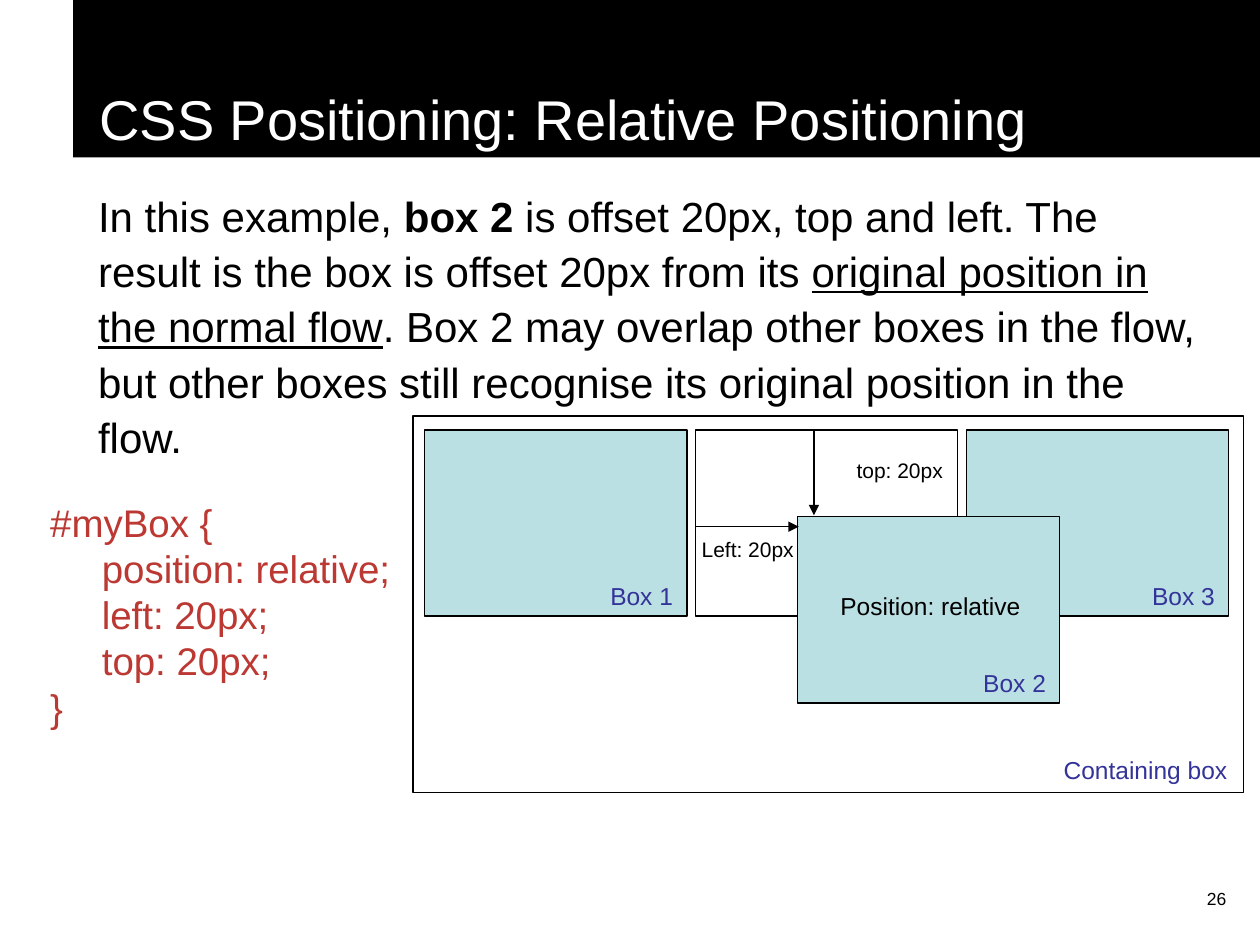
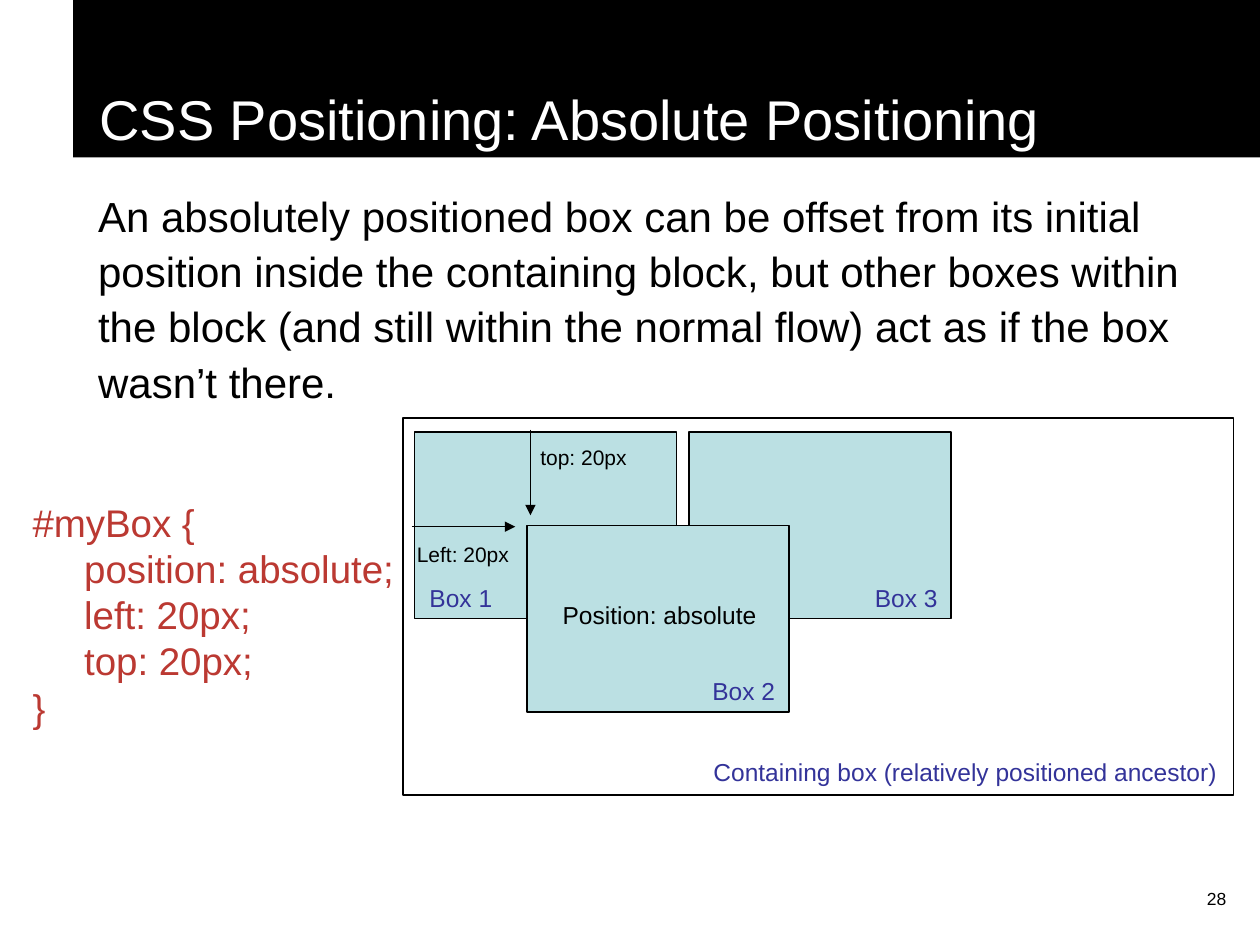
from dataclasses import dataclass

from lxml import etree
from pptx import Presentation
from pptx.dml.color import RGBColor
from pptx.enum.shapes import MSO_CONNECTOR, MSO_SHAPE
from pptx.enum.text import MSO_ANCHOR, PP_ALIGN
from pptx.oxml.ns import qn
from pptx.util import Inches, Pt

RECT = MSO_SHAPE.RECTANGLE
LINE = MSO_CONNECTOR.STRAIGHT
TOP, LOW = MSO_ANCHOR.TOP, MSO_ANCHOR.BOTTOM
LEFT, MID, RIGHT = PP_ALIGN.LEFT, PP_ALIGN.CENTER, PP_ALIGN.RIGHT

WIDE, HIGH = 10, 7.5
BAND = (0.58, 0, WIDE - 0.58, HIGH / 6)
PAGE = (7.75, 7, 2.08, 0.5)
FRAME = (6.59, 2.99)
BOX = (2.08, 1.48)
TAG = (2.05, 0.34)
NOTE = (1.11, 0.3)
CODE = (3.12, 1.94)


@dataclass(frozen=True)
class Theme:
    font: str = "Arial"
    ink: str = "000000"
    pale: str = "FFFFFF"
    box: str = "BBE0E3"
    tag: str = "333399"
    code: str = "BB3932"
    head: int = 32
    body: int = 24
    mono: int = 22
    name: int = 14
    note: int = 12
    page: int = 10
    edge: float = 1
    arrow: float = 0.75
    space: float = 0.625


LOOK = Theme()

SLIDES = [
    {
        "page": "26",
        "title": "CSS Positioning: Relative Positioning",
        "body": [
            ("In this example, ", ""),
            ("box 2", "bold"),
            (" is offset 20px, top and left. The result is the box is offset 20px from its ", ""),
            ("original position in the normal flow", "under"),
            (". Box 2 may overlap other boxes in the flow, but other boxes still "
             "recognise its original position in the flow.", ""),
        ],
        "depth": 3.1,
        "mode": "relative",
        "code": 0.3,
        "frame": (3.28, 3.3),
        "step": 2.15,
        "flow": [("Box 1", RIGHT), None, ("Box 3", RIGHT)],
        "slot": 1,
        "shift": (0.81, 0.69),
        "arrow": 5.52,
        "notes": [("Left: 20px", 5.47, 4.21), ("top: 20px", 6.7, 3.58)],
        "holder": ("Containing box", 2.05),
    },
    {
        "page": "28",
        "title": "CSS Positioning: Absolute Positioning",
        "body": [
            ("An absolutely positioned box can be offset from its initial position "
             "inside the containing block, but other boxes within the block (and still "
             "within the normal flow) act as if the box wasn’t there.", ""),
        ],
        "depth": 2.66,
        "mode": "absolute",
        "code": 0.16,
        "frame": (3.2, 3.32),
        "step": 2.18,
        "flow": [("Box 1", LEFT), ("Box 3", RIGHT)],
        "slot": 0,
        "shift": (0.89, 0.74),
        "arrow": 3.27,
        "notes": [("Left: 20px", 3.21, 4.25), ("top: 20px", 4.19, 3.48)],
        "holder": ("Containing box (relatively positioned ancestor)", 6.56),
    },
]


def tint(code):
    return RGBColor.from_string(code)


def rect(slide, area, fill=None, edge=True):
    shape = slide.shapes.add_shape(RECT, *map(Inches, area))
    shape.shadow.inherit = False
    if fill:
        shape.fill.solid()
        shape.fill.fore_color.rgb = tint(fill)
    else:
        shape.fill.background()
    if edge:
        shape.line.color.rgb = tint(LOOK.ink)
        shape.line.width = Pt(LOOK.edge)
    else:
        shape.line.fill.background()
    return shape


def text(slide, area, parts, size, color=LOOK.ink, align=LEFT, anchor=TOP,
         before=True, after=0, lead=None, indent=0, tab=0, shape=None):
    if shape is None:
        shape = slide.shapes.add_textbox(*map(Inches, area))
    frame = shape.text_frame
    frame.word_wrap = True
    frame.vertical_anchor = anchor
    para = frame.paragraphs[0]
    para.alignment = align
    para.space_before = Pt(size * LOOK.space if before else 0)
    para.space_after = Pt(after)
    if lead:
        para.line_spacing = lead
    props = para._p.get_or_add_pPr()
    if indent:
        props.set("marL", str(Inches(indent)))
        props.set("indent", "0")
    if tab:
        stops = etree.SubElement(props, qn("a:tabLst"))
        etree.SubElement(stops, qn("a:tab"), pos=str(Inches(tab)), algn="l")
    if isinstance(parts, str):
        parts = [(parts, "")]
    for words, style in parts:
        for row, line in enumerate(words.split("\n")):
            if row:
                para.add_line_break()
            run = para.add_run()
            run.text = line
            font = run.font
            font.name, font.size = LOOK.font, Pt(size)
            font.color.rgb = tint(color)
            font.bold = style == "bold"
            font.underline = style == "under"


def arrow(slide, start, end):
    line = slide.shapes.add_connector(LINE, *map(Inches, start + end))
    line.line.color.rgb = tint(LOOK.ink)
    line.line.width = Pt(LOOK.arrow)
    etree.SubElement(line.line._get_or_add_ln(), qn("a:tailEnd"), type="triangle")
    etree.SubElement(line._element.spPr, qn("a:effectLst"))


def tag(slide, spot, name, align=RIGHT):
    x, y = spot
    text(slide, (x + 0.02, y + 1.15, *TAG), name, LOOK.name, LOOK.tag, align)


def base(slide, item):
    text(slide, PAGE, item["page"], LOOK.page, align=RIGHT, before=False)
    band = rect(slide, BAND, LOOK.ink, edge=False)
    text(slide, BAND, item["title"], LOOK.head, LOOK.pale, anchor=LOW,
         before=False, indent=0.11, shape=band)
    text(slide, (BAND[0], 1.42, 9.08, item["depth"]), item["body"], LOOK.body,
         after=6, lead=1.1, indent=0.1)


def scheme(slide, item):
    x, y = item["frame"]
    spots = [(x + 0.09 + col * item["step"], y + 0.11)
             for col in range(len(item["flow"]))]
    for spot, box in zip(spots, item["flow"]):
        rect(slide, (*spot, *BOX), LOOK.box if box else None)
        if box:
            tag(slide, spot, *box)
    rect(slide, (x, y, *FRAME))

    home = spots[item["slot"]]
    moved = tuple(a + b for a, b in zip(home, item["shift"]))
    rect(slide, (*moved, *BOX), LOOK.box)
    text(slide, (moved[0] + 0.03, moved[1] + 0.54, *TAG),
         "Position: " + item["mode"], LOOK.name, align=MID)
    tag(slide, moved, "Box 2")

    name, width = item["holder"]
    text(slide, (x + FRAME[0] - 0.03 - width, y + 2.64, width, TAG[1]),
         name, LOOK.name, LOOK.tag, RIGHT)
    for words, *spot in item["notes"]:
        text(slide, (*spot, *NOTE), words, LOOK.note)

    side = item["arrow"]
    arrow(slide, (side + 0.94, 3.41), (side + 0.94, 4.09))
    arrow(slide, (side, 4.18), (side + 0.82, 4.18))


def code(slide, item):
    rules = ["position: " + item["mode"], "left: 20px", "top: 20px"]
    lines = ["#myBox {", *(f"\t{rule};" for rule in rules), "}"]
    text(slide, (item["code"], 3.91, *CODE), "\n".join(lines), LOOK.mono,
         LOOK.code, tab=0.41)


def main():
    deck = Presentation()
    deck.slide_width, deck.slide_height = Inches(WIDE), Inches(HIGH)
    for item in SLIDES:
        slide = deck.slides.add_slide(deck.slide_layouts[6])
        base(slide, item)
        scheme(slide, item)
        code(slide, item)
    deck.save("out.pptx")


if __name__ == "__main__":
    main()
